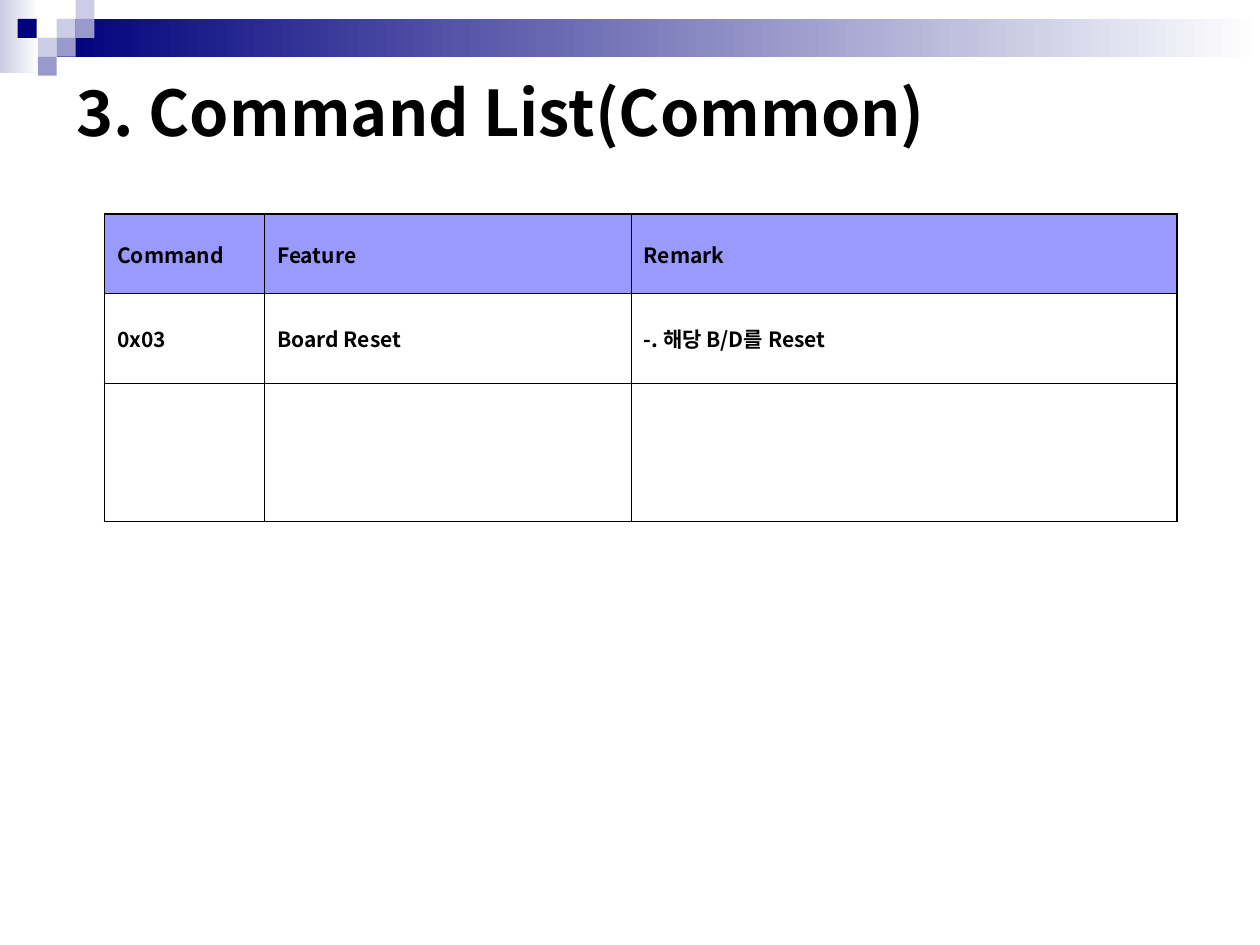
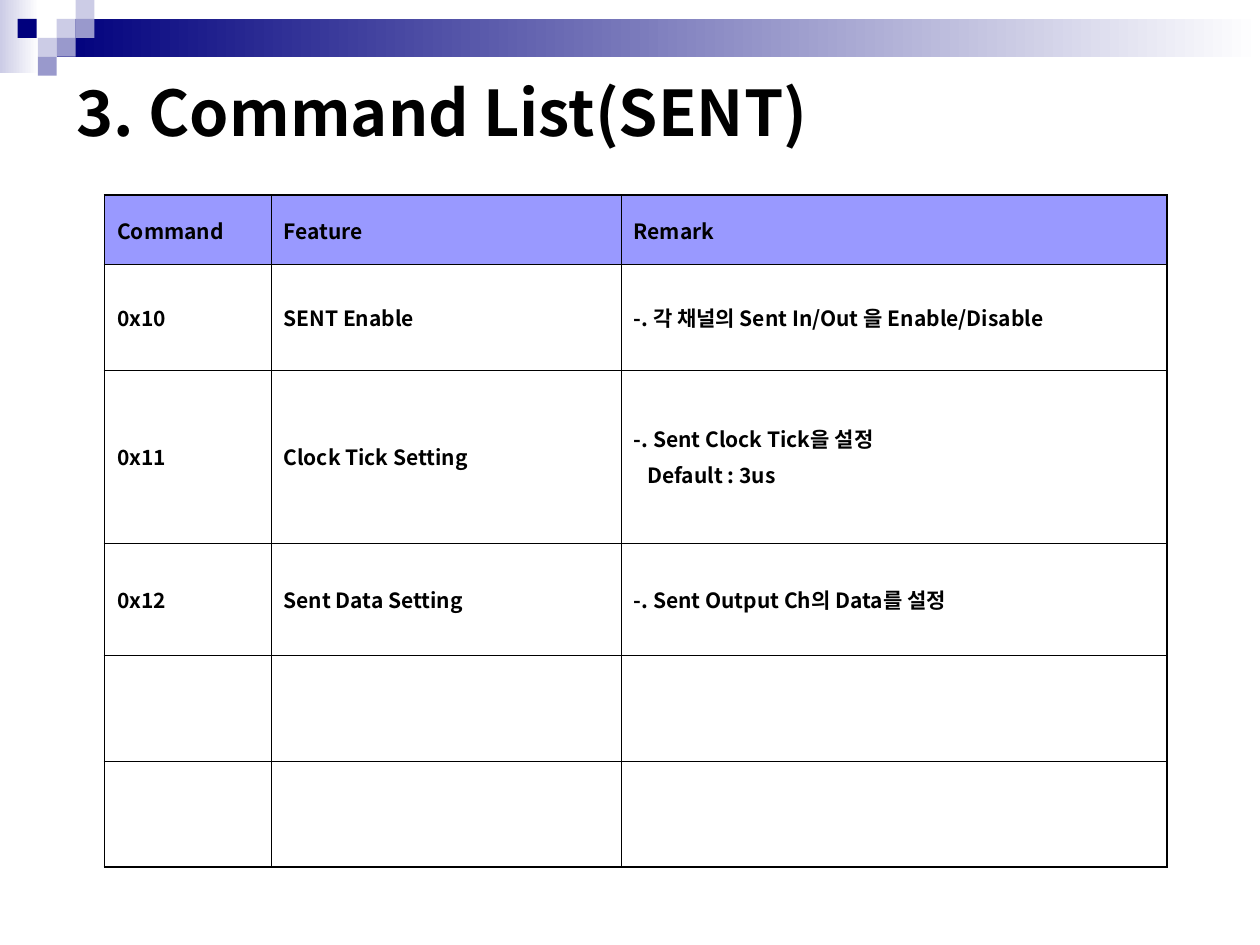
from lxml import etree
from pptx import Presentation
from pptx.dml.color import RGBColor
from pptx.enum.shapes import MSO_SHAPE
from pptx.enum.text import MSO_ANCHOR
from pptx.oxml.ns import qn
from pptx.util import Inches, Pt

RECTANGLE = MSO_SHAPE.RECTANGLE
MIDDLE = MSO_ANCHOR.MIDDLE

BLACK = RGBColor(0x00, 0x00, 0x00)
WHITE = RGBColor(0xFF, 0xFF, 0xFF)
NAVY = RGBColor(0x00, 0x00, 0x7D)
LAVENDER = RGBColor(0xCC, 0xCC, 0xE6)
MID_BLUE = RGBColor(0x99, 0x99, 0xCC)
HEADER_BLUE = RGBColor(0x99, 0x99, 0xFF)

FONT = "Noto Sans CJK KR"
OUTER_BORDER = Pt(1.08)
INNER_BORDER = Pt(0.45)
SQUARE = 0.15
SQUARES = [
    (0.45, 0.15, LAVENDER),
    (0.6, 0, LAVENDER),
    (0.6, 0.15, MID_BLUE),
    (0.3, 0.3, LAVENDER),
    (0.14, 0.15, NAVY),
    (0.45, 0.3, MID_BLUE),
    (0.3, 0.45, MID_BLUE),
]
HEADINGS = ("Command", "Feature", "Remark")
EMPTY_ROW = ("", "", "")


def write_text(paragraph, text, size=12, color=BLACK, bold=True, space_before=0, indent=0):
    paragraph.space_before = Pt(space_before)
    if indent:
        properties = paragraph._p.get_or_add_pPr()
        properties.set("marL", str(Inches(indent)))
        properties.set("indent", "0")
    run = paragraph.add_run()
    run.text = text
    run.font.size = Pt(size)
    run.font.bold = bold
    run.font.name = FONT
    run.font.color.rgb = color
    etree.SubElement(run._r.get_or_add_rPr(), qn("a:ea"), typeface=FONT)


def set_border(cell, side, width):
    line = etree.SubElement(cell._tc.get_or_add_tcPr(), qn(f"a:ln{side}"), w=str(width))
    fill = etree.SubElement(line, qn("a:solidFill"))
    etree.SubElement(fill, qn("a:srgbClr"), val=str(BLACK))


class Deck:
    def __init__(self):
        self.presentation = Presentation()
        self.presentation.slide_width = Inches(10)
        self.presentation.slide_height = Inches(7.5)
        self.slide = None

    def add_slide(self, title):
        self.slide = self.presentation.slides.add_slide(self.presentation.slide_layouts[6])
        self.add_rectangle(0, 0, 0.31, 0.58, LAVENDER, fades=True)
        self.add_rectangle(0.45, 0.15, 9.55, 0.3, NAVY, fades=True)
        for left, top, color in SQUARES:
            self.add_rectangle(left, top, SQUARE, SQUARE, color)
        self.add_title(title)

    def add_rectangle(self, left, top, width, height, color, fades=False):
        shape = self.slide.shapes.add_shape(
            RECTANGLE, Inches(left), Inches(top), Inches(width), Inches(height))
        shape.shadow.inherit = False
        shape.line.fill.background()
        if fades:
            shape.fill.gradient()
            shape.fill.gradient_angle = 180
            for stop, stop_color in zip(shape.fill.gradient_stops, (WHITE, color)):
                stop.color.rgb = stop_color
        else:
            shape.fill.solid()
            shape.fill.fore_color.rgb = color

    def add_title(self, text):
        box = self.slide.shapes.add_textbox(Inches(0.51), Inches(0.13), Inches(9), Inches(1.5))
        box.text_frame.word_wrap = True
        box.text_frame.vertical_anchor = MIDDLE
        write_text(box.text_frame.paragraphs[0], text, size=36)

    def add_command_table(self, top, widths, heights, commands):
        rows = [HEADINGS, *commands]
        table = self.slide.shapes.add_table(
            len(rows), len(widths), Inches(0.83), Inches(top),
            Inches(sum(widths)), Inches(sum(heights))).table
        for column, width in zip(table.columns, widths):
            column.width = Inches(width)
        for row, height in zip(table.rows, heights):
            row.height = Inches(height)
        for row_index, texts in enumerate(rows):
            for column_index, text in enumerate(texts):
                cell = table.cell(row_index, column_index)
                outer_sides = {
                    "L": column_index == 0,
                    "R": column_index == len(widths) - 1,
                    "T": row_index == 0,
                    "B": row_index == len(rows) - 1,
                }
                self.format_cell(cell, text, outer_sides, is_heading=row_index == 0)

    def format_cell(self, cell, text, outer_sides, is_heading):
        cell.vertical_anchor = MIDDLE
        for side, is_outer in outer_sides.items():
            set_border(cell, side, OUTER_BORDER if is_outer else INNER_BORDER)
        if is_heading:
            cell.fill.solid()
            cell.fill.fore_color.rgb = HEADER_BLUE
        else:
            cell.fill.background()
        if not text:
            return
        for index, line in enumerate(text.split("\n")):
            frame = cell.text_frame
            paragraph = frame.add_paragraph() if index else frame.paragraphs[0]
            write_text(paragraph, line, space_before=3, indent=0.11 if index else 0)


def main():
    deck = Deck()

    deck.add_slide("3. Command List(Common)")
    deck.add_command_table(1.7, (1.27, 2.91, 4.33), (0.63, 0.71, 1.1), [
        ("0x03", "Board Reset", "-. 해당 B/D를 Reset"),
        EMPTY_ROW,
    ])

    deck.add_slide("3. Command List(SENT)")
    deck.add_command_table(1.55, (1.32, 2.78, 4.33), (0.55, 0.84, 1.37, 0.89, 0.84, 0.84), [
        ("0x10", "SENT Enable", "-. 각 채널의 Sent In/Out 을 Enable/Disable"),
        ("0x11", "Clock Tick Setting", "-. Sent Clock Tick을 설정\nDefault : 3us"),
        ("0x12", "Sent Data Setting", "-. Sent Output Ch의 Data를 설정"),
        EMPTY_ROW,
        EMPTY_ROW,
    ])

    deck.presentation.save("out.pptx")


if __name__ == "__main__":
    main()
